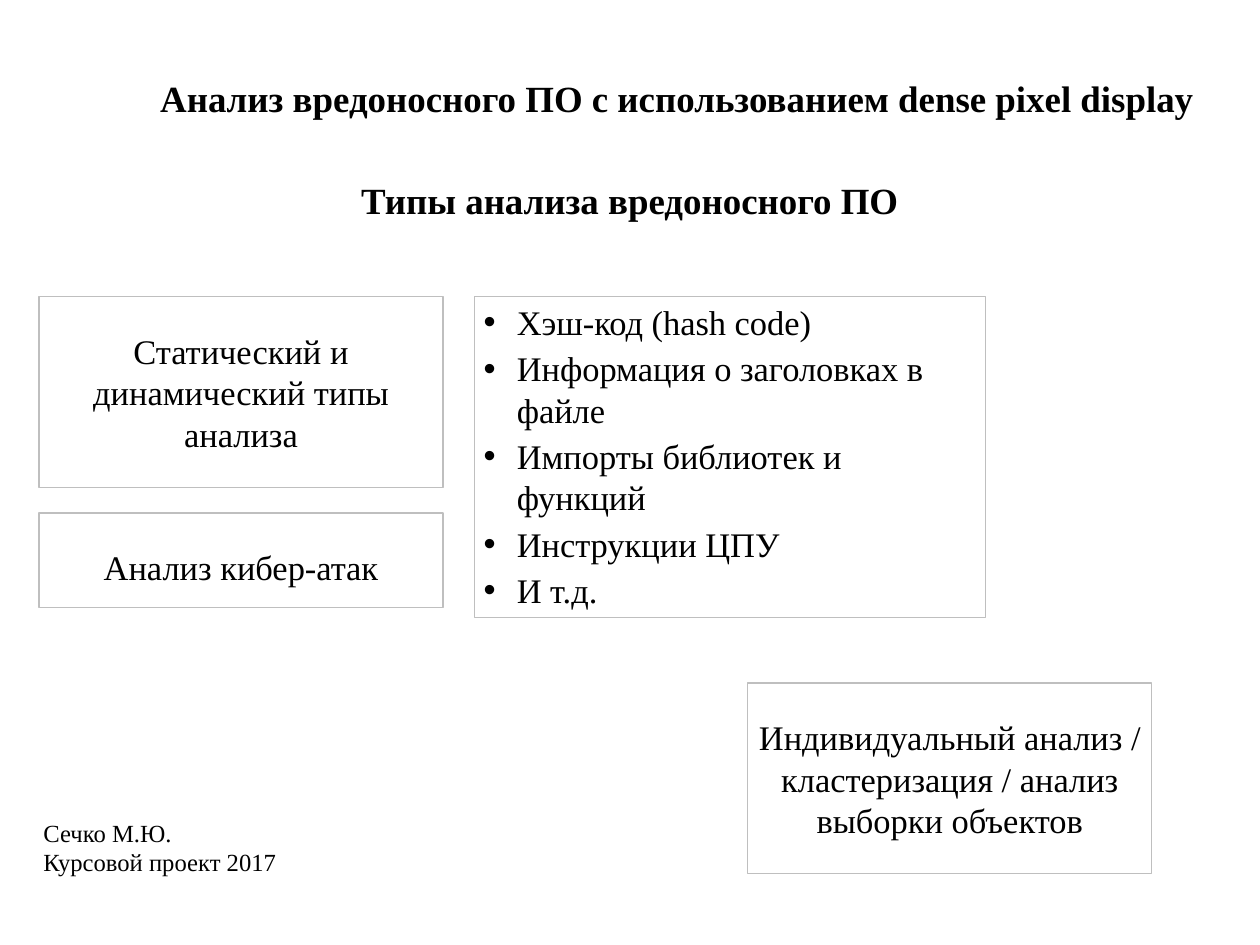
"""Builds the slide on the types of malware analysis."""
from dataclasses import dataclass

from lxml import etree
from pptx import Presentation
from pptx import util as u
from pptx.dml.color import RGBColor
from pptx.enum import shapes, text
from pptx.oxml.ns import qn

Pt = u.Pt


@dataclass(frozen=True)
class Theme:
    font: str = "Times New Roman"
    ink: str = "000000"
    border: str = "BFBFBF"
    heading: int = 30
    body: int = 28
    footer: int = 20


THEME = Theme()
LEFT, TOP = 31.7, 241.2
CARD_WIDTH, TALL, SHORT = 328.3, 154.8, 77
CENTER = text.PP_ALIGN.CENTER
MIDDLE = text.MSO_ANCHOR.MIDDLE


def add_bullet(paragraph, indent=27):
    props = paragraph._p.get_or_add_pPr()
    props.set("marL", str(Pt(indent)))
    props.set("indent", str(-Pt(indent)))
    color = etree.SubElement(props, qn("a:buClr"))
    etree.SubElement(color, qn("a:srgbClr"), val=THEME.ink)
    etree.SubElement(props, qn("a:buFont"), typeface="Arial")
    etree.SubElement(props, qn("a:buChar"), char="•")


def write(frame, lines, size=THEME.body, bold=False, align=text.PP_ALIGN.LEFT,
          anchor=text.MSO_ANCHOR.TOP, insets=(3.6, 3.6, 3.6, 3.6), before=0,
          spacing=None, wrap=True, grow=False, bullets=False):
    frame.word_wrap = wrap
    frame.auto_size = (text.MSO_AUTO_SIZE.SHAPE_TO_FIT_TEXT if grow
                       else text.MSO_AUTO_SIZE.NONE)
    frame.vertical_anchor = anchor
    (frame.margin_left, frame.margin_top,
     frame.margin_right, frame.margin_bottom) = map(Pt, insets)
    for index, line in enumerate(lines):
        paragraph = frame.add_paragraph() if index else frame.paragraphs[0]
        paragraph.alignment = align
        paragraph.space_before = Pt(before)
        if spacing:
            paragraph.line_spacing = Pt(spacing)
        if bullets:
            add_bullet(paragraph)
        run = paragraph.add_run()
        run.text = line
        run.font.name = THEME.font
        run.font.size = Pt(size)
        run.font.bold = bold
        run.font.color.rgb = RGBColor.from_string(THEME.ink)


def add_label(slide, box, lines, **style):
    label = slide.shapes.add_textbox(*map(Pt, box))
    write(label.text_frame, lines, **style)


def add_frame(slide, box, lines, line_width=1, **style):
    frame = slide.shapes.add_shape(shapes.MSO_SHAPE.RECTANGLE, *map(Pt, box))
    frame.shadow.inherit = False
    frame.fill.background()
    frame.line.color.rgb = RGBColor.from_string(THEME.border)
    frame.line.width = Pt(line_width)
    write(frame.text_frame, lines, before=4, **style)


def add_card(slide, left, top, height, caption):
    add_frame(slide, (left, top, CARD_WIDTH, height), [caption],
              align=CENTER, insets=(3.6, 27, 3.6, 3.6))


def set_title(slide, box, caption):
    title = slide.shapes.title
    title.left, title.top, title.width, title.height = map(Pt, box)
    write(title.text_frame, [caption], size=THEME.heading, bold=True,
          align=CENTER, anchor=MIDDLE, insets=(4.3,) * 4, before=12,
          spacing=50, grow=True)


def main():
    deck = Presentation()
    deck.slide_width, deck.slide_height = Pt(1024), Pt(768)
    slide = deck.slides.add_slide(deck.slide_layouts[5])

    set_title(slide, (91.4, 43.2, 918, 58.3),
              "Анализ вредоносного ПО с использованием dense pixel display")
    add_label(slide, (286.6, 140.4, 450.7, 44.6),
              ["Типы анализа вредоносного ПО"], size=THEME.heading, bold=True,
              align=CENTER, anchor=MIDDLE, insets=(4.3,) * 4, wrap=False,
              grow=True)
    add_label(slide, (LEFT, 661, 245.5, 55.4),
              ["Сечко М.Ю.", "Курсовой проект 2017"], size=THEME.footer,
              grow=True)

    add_card(slide, LEFT, TOP, TALL, "Статический и динамический типы анализа")
    add_frame(slide, (385.9, TOP, 415.4, 260.6),
              ["Хэш-код (hash code)", "Информация о заголовках в файле",
               "Импорты библиотек и функций", "Инструкции ЦПУ", "И т.д."],
              line_width=0.75, insets=(7.2, 3.6, 7.2, 3.6), grow=True,
              bullets=True)
    add_card(slide, LEFT, 416.9, SHORT, "Анализ кибер-атак")
    add_card(slide, 607.7, 555.1, TALL,
             "Индивидуальный анализ / кластеризация / анализ выборки объектов")

    deck.save("out.pptx")


if __name__ == "__main__":
    main()
